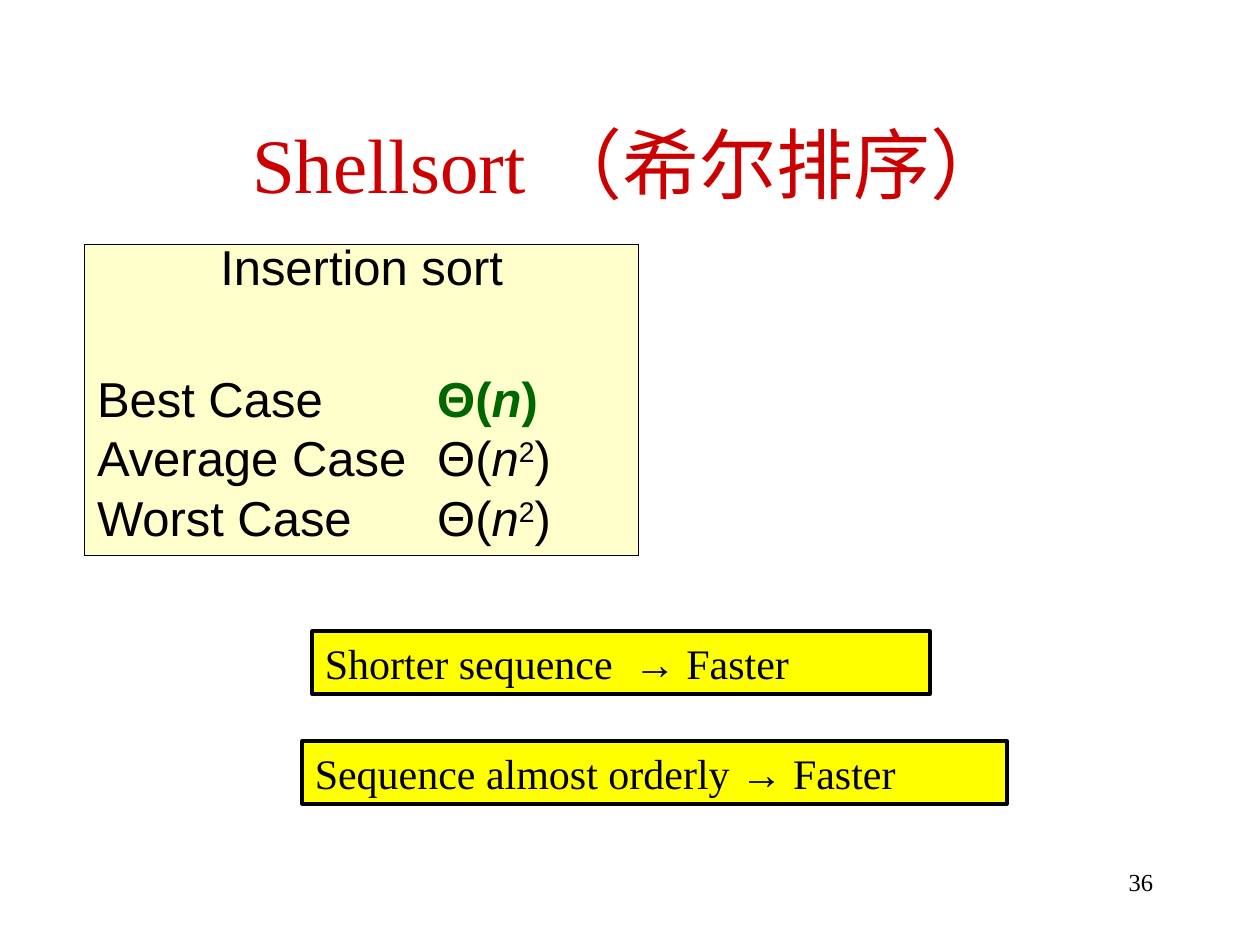
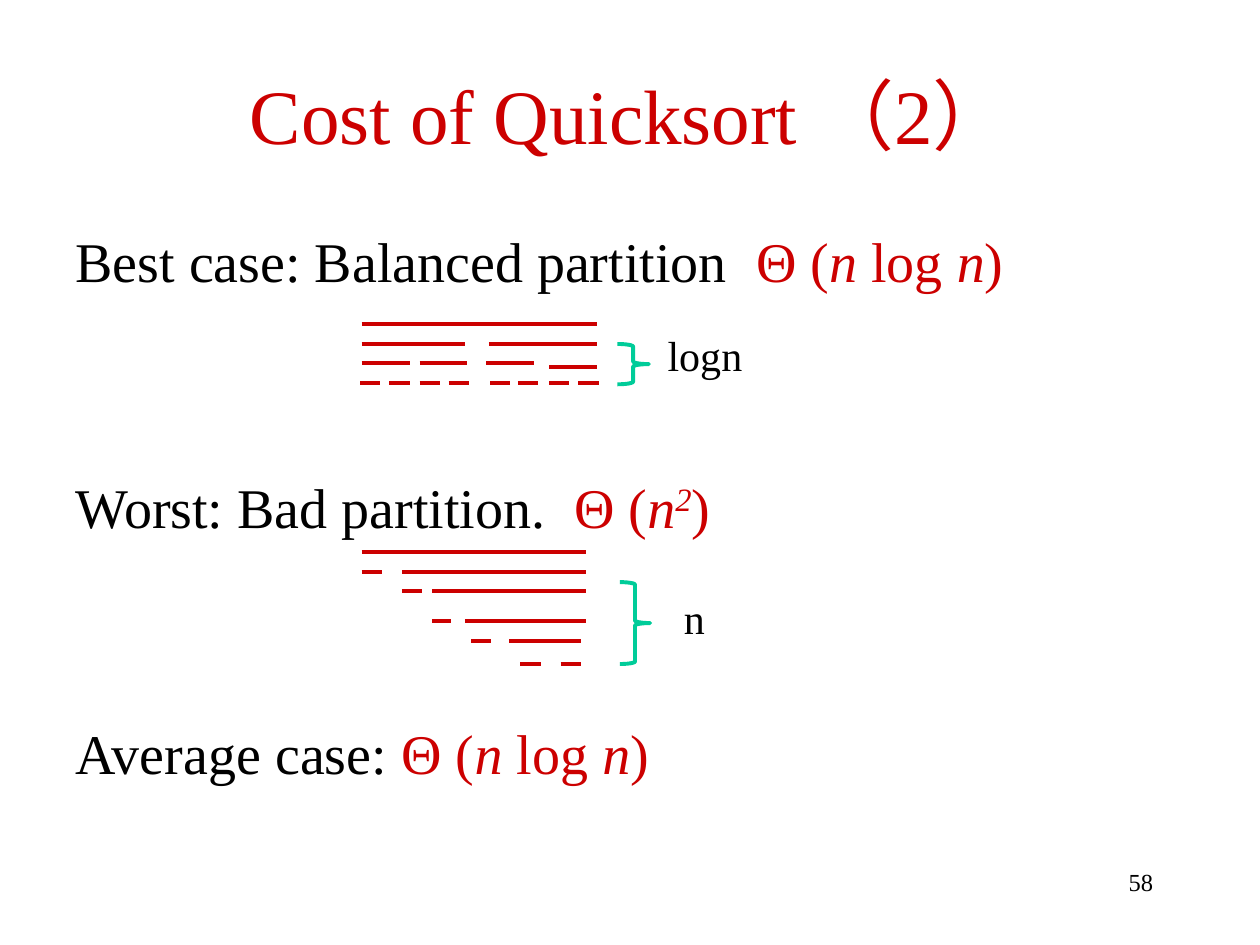
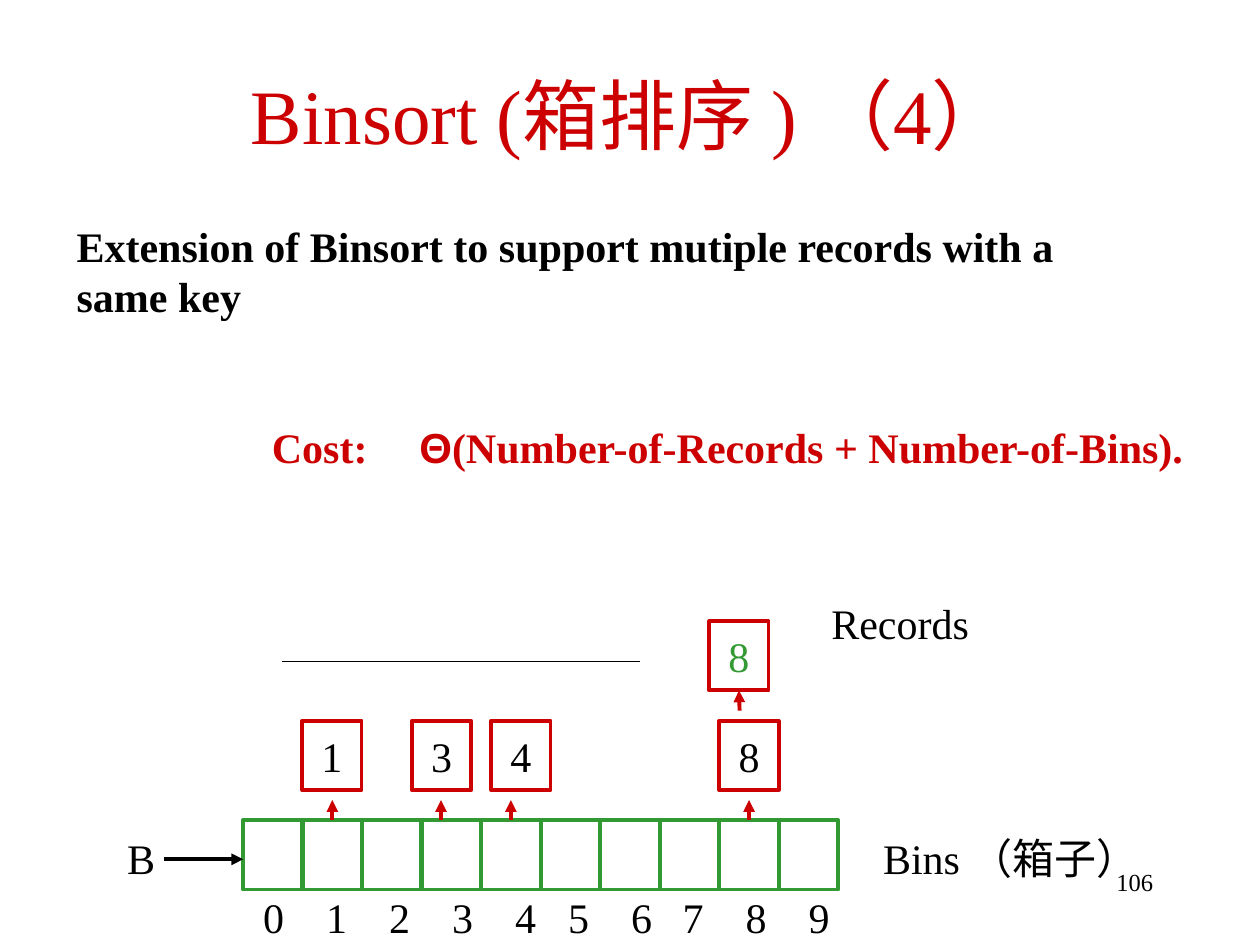
"""Build three slides on the cost of sorting algorithms."""
from lxml.etree import SubElement
from pptx import Presentation
from pptx.dml.color import RGBColor
from pptx.enum.shapes import MSO_CONNECTOR, MSO_SHAPE
from pptx.enum.text import MSO_ANCHOR, MSO_AUTO_SIZE, PP_ALIGN
from pptx.oxml.ns import qn
from pptx.util import Inches, Pt

HUE = {
    "red": "CC0000", "black": "000000", "green": "339933", "dark": "006600",
    "teal": "00CC99", "yellow": "FFFF00", "cream": "FFFF99",
}
FACE = "Times New Roman"


def write(para, parts, size=24, hue="black", face=FACE, align=PP_ALIGN.LEFT):
    """Fill a paragraph with (text, marks): b bold, i italic, s raised, a Arial, r red."""
    para.alignment = align
    for text, marks in [(parts, "")] if isinstance(parts, str) else parts:
        run = para.add_run()
        run.text = text
        font = run.font
        font.size = Pt(size)
        font.name = "Arial" if "a" in marks else face
        font.bold = "b" in marks
        font.italic = "i" in marks
        font.color.rgb = RGBColor.from_string(HUE["red" if "r" in marks else hue])
        if "s" in marks:
            run._r.get_or_add_rPr().set("baseline", "30000")


def link(slide, ends, hue="red", width=2.25, tip=False):
    """Draw a straight line between two points, with an arrowhead if asked."""
    line = slide.shapes.add_connector(MSO_CONNECTOR.STRAIGHT, *map(Inches, ends))
    line.line.color.rgb = RGBColor.from_string(HUE[hue])
    line.line.width = Pt(width)
    if tip:
        SubElement(line.line._get_or_add_ln(), qn("a:tailEnd"), type="triangle")
    SubElement(line._element.spPr, qn("a:effectLst"))
    return line


deck = Presentation()
deck.slide_width, deck.slide_height = Inches(10), Inches(7.5)

low, high = (0.75, 0.67, 8.5, 1.25), (0.5, 0.4, 9, 1)
pages = []
for kind, title, place, num in [
    (5, "Shellsort （希尔排序）", low, "36"),
    (1, "Cost of Quicksort （2）", high, "58"),
    (5, "Binsort (箱排序 ) （4）", high, "106"),
]:
    slide = deck.slides.add_slide(deck.slide_layouts[kind])
    pages.append(slide)
    head = slide.shapes.title
    head.left, head.top, head.width, head.height = map(Inches, place)
    frame = head.text_frame
    frame.auto_size = MSO_AUTO_SIZE.NONE
    frame.vertical_anchor = MSO_ANCHOR.MIDDLE
    write(frame.paragraphs[0], title, 44, "red", align=PP_ALIGN.CENTER)
    foot = slide.shapes.add_textbox(*map(Inches, (7.17, 6.83, 2.08, 0.5)))
    foot.text_frame.word_wrap = True
    write(foot.text_frame.paragraphs[0], num, 14, align=PP_ALIGN.RIGHT)
shell, quick, binsort = pages

square = [("Θ(", ""), ("n", "i"), ("2", "s"), (")", "")]
rows = [
    ("Insertion sort", ""),
    ("", ""),
    ("Best Case", [("Θ(", "b"), ("n", "bi"), (")", "b")]),
    ("Average Case", square),
    ("Worst Case", square),
]
grid = shell.shapes.add_table(5, 2, *map(Inches, (0.67, 1.94, 4.4, 2.45))).table
grid.first_row = grid.horz_banding = False
grid._tbl.tblPr.find(qn("a:tableStyleId")).text = "{2D5ABB26-0587-4C30-8999-92F81FD0307C}"
for col, width in zip(grid.columns, (2.7, 1.7)):
    col.width = Inches(width)
for r, row in enumerate(rows):
    grid.rows[r].height = Inches(0.57 if r == 1 else 0.47)
    for c, text in enumerate(row):
        cell = grid.cell(r, c)
        if text:
            para = cell.text_frame.paragraphs[0]
            para.line_spacing = 0.8
            para.space_before = Pt(7)
            hue = "dark" if (r, c) == (2, 1) else "black"
            align = PP_ALIGN.LEFT if r else PP_ALIGN.CENTER
            write(para, text, 28, hue, "Arial", align)
        prop = cell._tc.get_or_add_tcPr()
        for side, edge in [("L", c == 0), ("R", c == 1 or r == 0), ("T", r == 0), ("B", r == 4)]:
            if edge:
                rim = SubElement(prop, qn("a:ln" + side), w="5715")
                SubElement(SubElement(rim, qn("a:solidFill")), qn("a:srgbClr"), val=HUE["black"])
        cell.fill.solid()
        cell.fill.fore_color.rgb = RGBColor.from_string(HUE["cream"])
        SubElement(prop.find(qn("a:solidFill"))[0], qn("a:alpha"), val="50000")
grid.cell(0, 0).merge(grid.cell(0, 1))

for text, place in [
    ("Shorter sequence  ", (2.48, 5.01, 4.9, 0.5)),
    ("Sequence almost orderly ", (2.4, 5.88, 5.59, 0.5)),
]:
    box = shell.shapes.add_shape(MSO_SHAPE.RECTANGLE, *map(Inches, place))
    box.shadow.inherit = False
    box.fill.solid()
    box.fill.fore_color.rgb = RGBColor.from_string(HUE["yellow"])
    box.line.color.rgb = RGBColor.from_string(HUE["black"])
    box.line.width = Pt(2.25)
    box.text_frame.vertical_anchor = MSO_ANCHOR.TOP
    write(box.text_frame.paragraphs[0], [(text, ""), ("→", "a"), (" Faster", "")])

body = quick.placeholders[1]
body.left, body.top, body.width, body.height = map(Inches, (0.5, 1.75, 9, 5))
frame = body.text_frame
frame.auto_size = MSO_AUTO_SIZE.NONE
nlogn = [("Θ (", "r"), ("n", "ri"), (" log ", "r"), ("n", "ri"), (")", "r")]
for i, parts in enumerate([
    [("Best case: Balanced partition  ", "")] + nlogn,
    [("Worst: Bad partition.  ", ""), ("Θ (", "r"), ("n", "ri"), ("2", "ris"), (")", "r")],
    [("Average case: ", "")] + nlogn,
]):
    para = frame.add_paragraph() if i else frame.paragraphs[0]
    para.space_before = Pt(102 if i else 8)
    prop = para._p.get_or_add_pPr()
    prop.set("marL", str(Inches(0.38)))
    prop.set("indent", str(-Inches(0.38)))
    SubElement(prop, qn("a:buNone"))
    write(para, parts, 32)

dashes = [(x, x + 0.16) for x in (2.86, 3.09, 3.33, 3.56, 3.89, 4.11, 4.36, 4.59)]
for y, spans in [
    (2.57, [(2.87, 4.74)]),
    (2.73, [(2.87, 3.69), (3.88, 4.74)]),
    (2.88, [(2.87, 3.25), (3.33, 3.71), (3.86, 4.24)]),
    (2.91, [(4.36, 4.74)]),
    (3.04, dashes),
    (4.38, [(2.87, 4.65)]),
    (4.54, [(2.87, 3.03), (3.19, 4.65)]),
    (4.69, [(3.19, 3.35), (3.43, 4.65)]),
    (4.93, [(3.43, 3.58), (3.69, 4.65)]),
    (5.09, [(3.74, 3.9), (4.04, 4.61)]),
    (5.27, [(4.13, 4.29), (4.45, 4.61)]),
]:
    for start, end in spans:
        link(quick, (start, y, end, y))

for place in [(4.9, 2.73, 0.25, 0.32), (4.92, 4.62, 0.24, 0.65)]:
    brace = quick.shapes.add_shape(MSO_SHAPE.RIGHT_BRACE, *map(Inches, place))
    brace.shadow.inherit = False
    brace.fill.background()
    brace.line.color.rgb = RGBColor.from_string(HUE["teal"])
    brace.line.width = Pt(2.25)

cells = [(1.93 + 0.4725 * i, 6.51, "", "green", "black") for i in range(10)]
cells += [(x, 5.72, key, "red", "black") for x, key in zip((2.4, 3.27, 3.9, 5.71), "1348")]
cells += [(5.63, 4.93, "8", "red", "green")]
boxes = []
for x, y, key, rim, hue in cells:
    box = binsort.shapes.add_shape(MSO_SHAPE.RECTANGLE, *map(Inches, (x, y, 0.47, 0.55)))
    boxes.append(box)
    box.shadow.inherit = False
    box.fill.background()
    box.line.color.rgb = RGBColor.from_string(HUE[rim])
    box.line.width = Pt(2.25)
    if key:
        box.text_frame.word_wrap = False
        write(box.text_frame.paragraphs[0], key, hue=hue, align=PP_ALIGN.CENTER)

for x, slot in [(2.64, 1), (3.5, None), (4.06, 4), (5.94, 8)]:
    arrow = link(binsort, (x, 6.51, x, 6.35), tip=True)
    if slot:
        arrow.begin_connect(boxes[slot], 0)
        arrow.end_x = arrow.begin_x
link(binsort, (5.87, 5.64, 5.87, 5.48), tip=True).end_connect(boxes[-1], 2)
link(binsort, (1.3, 6.82, 1.93, 6.82), "black", tip=True)
link(binsort, (2.24, 5.25, 5.08, 5.25), "black", 0.25)

cost = [("Cost:\t", "br"), ("Θ", "bra"), ("(Number-of-Records + Number-of-Bins).", "br")]
note = [("Extension of Binsort to support mutiple records with a same key", "b")]
stops = (0.5, 1, 1.5, 2, 2.42, 2.92, 3.33, 3.83, 4.33)
for slide, text, place, wrap, tabs in [
    (quick, "logn", (5.2, 2.57, 0.79, 0.5), False, ()),
    (quick, "n", (5.33, 4.65, 0.36, 0.5), False, ()),
    (binsort, "\t".join("0123456789"), (1.99, 7.03, 4.8, 0.5), True, stops),
    (binsort, "Bins （箱子）", (6.91, 6.56, 2.31, 0.5), False, ()),
    (binsort, "Records", (6.5, 4.69, 1.29, 0.5), False, ()),
    (binsort, "B", (0.91, 6.56, 0.42, 0.5), False, ()),
    (binsort, cost, (2.06, 3.44, 7.6, 0.34), True, (1.17,)),
    (binsort, note, (0.51, 1.7, 8.19, 0.9), True, ()),
]:
    label = slide.shapes.add_textbox(*map(Inches, place))
    label.text_frame.word_wrap = wrap
    para = label.text_frame.paragraphs[0]
    if text is cost:
        para.line_spacing = 0.6
        para.space_before = Pt(6)
    if tabs:
        stop = SubElement(para._p.get_or_add_pPr(), qn("a:tabLst"))
        for x in tabs:
            SubElement(stop, qn("a:tab"), pos=str(Inches(x)), algn="l")
    write(para, text)

deck.save("out.pptx")
